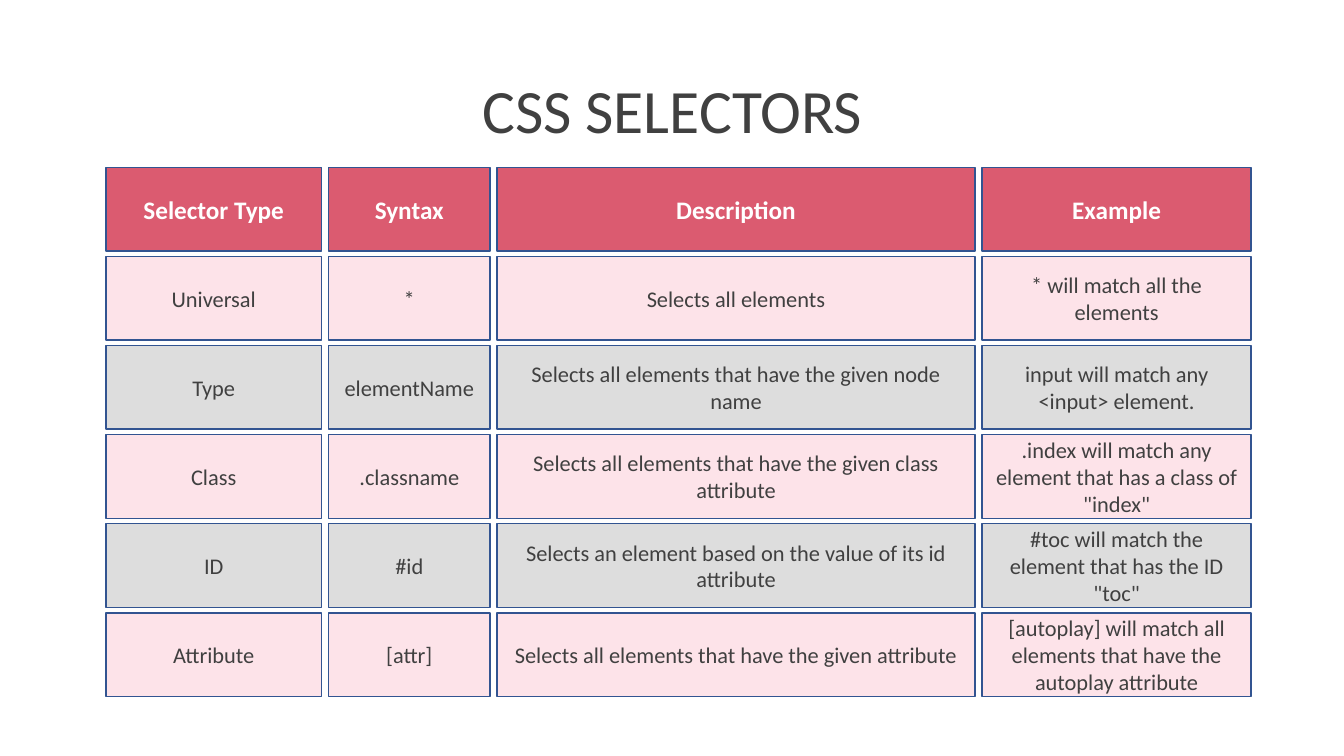
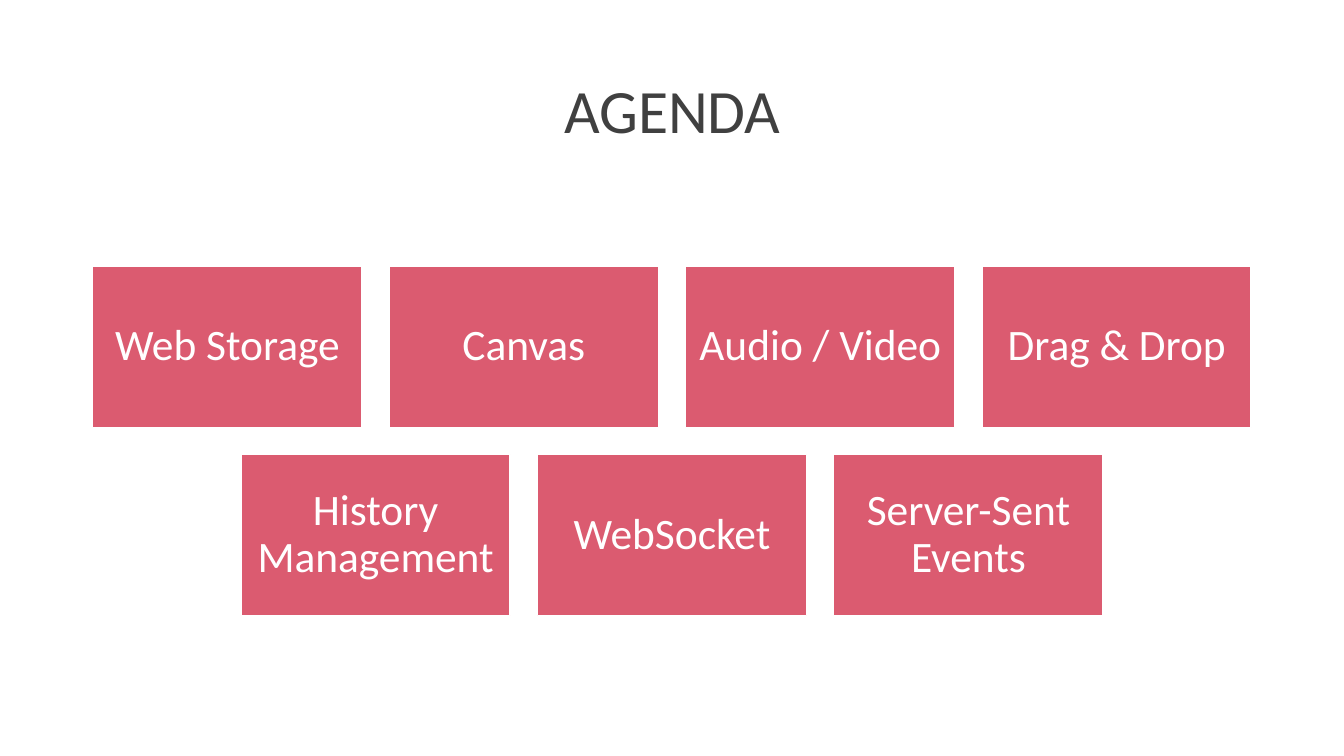
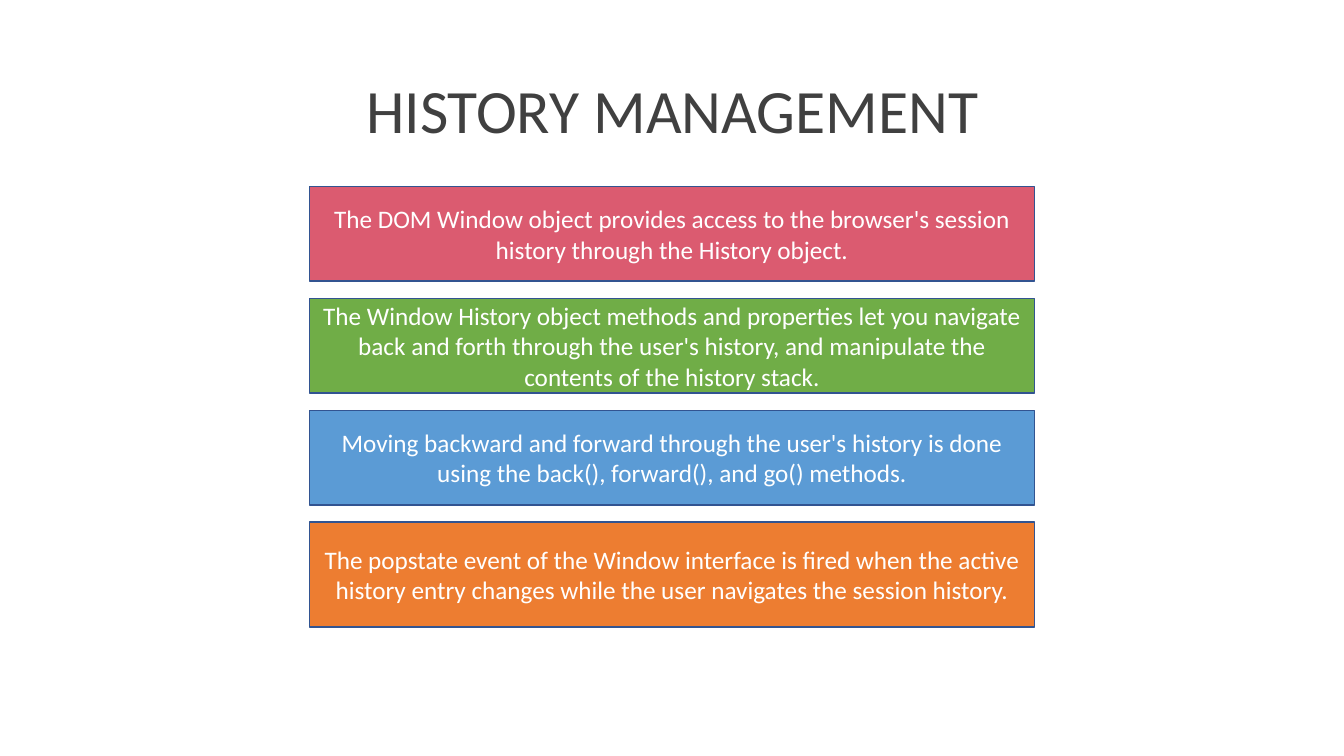
"""Build three slides on CSS selectors, the agenda and history management."""
from dataclasses import dataclass

from pptx import Presentation
from pptx.dml.color import RGBColor
from pptx.enum.shapes import MSO_SHAPE as Preset
from pptx.enum.text import MSO_ANCHOR as Anchor, MSO_AUTO_SIZE as AutoSize, PP_ALIGN as Align
from pptx.presentation import Presentation as Deck
from pptx.slide import Slide
from pptx.util import Inches, Pt

FONT = "Calibri"
WHITE = RGBColor(0xFF, 0xFF, 0xFF)
INK = RGBColor(0x40, 0x40, 0x40)
ROSE = RGBColor(0xDB, 0x5B, 0x70)
BLUSH = RGBColor(0xFD, 0xE3, 0xE9)
GREY = RGBColor(0xDD, 0xDD, 0xDD)
NAVY = RGBColor(0x32, 0x54, 0x91)
GREEN = RGBColor(0x70, 0xAD, 0x47)
BLUE = RGBColor(0x5B, 0x9B, 0xD5)
ORANGE = RGBColor(0xED, 0x7D, 0x31)
SLIDE_WIDTH = 13.33


@dataclass(frozen=True)
class BoxStyle:
    """Look of a filled text box."""
    fill: RGBColor
    color: RGBColor = WHITE
    size: int = 18
    bold: bool = False
    line: RGBColor = NAVY
    margin: float | None = None
    spacing: float = 1.0


@dataclass(frozen=True)
class Statement:
    """One stacked statement with its colour and height."""
    text: str
    fill: RGBColor
    height: float = 0.94


HEADER = BoxStyle(ROSE, bold=True)
ROW_STYLES = (BoxStyle(BLUSH, INK, 16), BoxStyle(GREY, INK, 16))
TILE = BoxStyle(ROSE, size=31, line=WHITE, margin=0.13, spacing=0.9)

COLUMN_WIDTHS = (2.14, 1.6, 4.74, 2.67)
SELECTORS = (
    ("Selector Type", "Syntax", "Description", "Example"),
    ("Universal", "*", "Selects all elements", "* will match all the elements"),
    ("Type", "elementName", "Selects all elements that have the given node name",
     "input will match any <input> element."),
    ("Class", ".classname", "Selects all elements that have the given class attribute",
     '.index will match any element that has a class of "index"'),
    ("ID", "#id", "Selects an element based on the value of its id attribute",
     '#toc will match the element that has the ID "toc"'),
    ("Attribute", "[attr]", "Selects all elements that have the given attribute",
     "[autoplay] will match all elements that have the autoplay attribute"),
)
AGENDA = (
    ("Web Storage", "Canvas", "Audio / Video", "Drag & Drop"),
    ("History Management", "WebSocket", "Server-Sent Events"),
)
STATEMENTS = (
    Statement("The DOM Window object provides access to the browser's session history "
              "through the History object.", ROSE),
    Statement("The Window History object methods and properties let you navigate back and "
              "forth through the user's history, and manipulate the contents of the "
              "history stack.", GREEN),
    Statement("Moving backward and forward through the user's history is done using the "
              "back(), forward(), and go() methods.", BLUE),
    Statement("The popstate event of the Window interface is fired when the active history "
              "entry changes while the user navigates the session history.", ORANGE, 1.04),
)


def add_titled_slide(deck: Deck, heading: str) -> Slide:
    """Add a title-only slide with the shared title style."""
    slide = deck.slides.add_slide(deck.slide_layouts[5])
    title = slide.shapes.title
    title.left, title.top = Inches(0.92), Inches(0.4)
    title.width, title.height = Inches(11.5), Inches(1.45)
    frame = title.text_frame
    frame.text = heading
    frame.auto_size = AutoSize.NONE
    frame.vertical_anchor = Anchor.MIDDLE
    paragraph = frame.paragraphs[0]
    paragraph.alignment = Align.CENTER
    paragraph.line_spacing = 0.9
    paragraph.font.name = FONT
    paragraph.font.size = Pt(44)
    paragraph.font.color.rgb = INK
    return slide


def add_box(slide: Slide, left: float, top: float, width: float, height: float,
            text: str, style: BoxStyle) -> None:
    """Draw a filled rectangle with centred text, measured in inches."""
    box = slide.shapes.add_shape(
        Preset.RECTANGLE, Inches(left), Inches(top), Inches(width), Inches(height))
    box.shadow.inherit = False
    box.fill.solid()
    box.fill.fore_color.rgb = style.fill
    box.line.color.rgb = style.line
    box.line.width = Pt(1)
    frame = box.text_frame
    frame.word_wrap = True
    frame.vertical_anchor = Anchor.MIDDLE
    if style.margin is not None:
        frame.margin_left = frame.margin_right = Inches(style.margin)
        frame.margin_top = frame.margin_bottom = Inches(style.margin)
    frame.text = text
    paragraph = frame.paragraphs[0]
    paragraph.alignment = Align.CENTER
    paragraph.line_spacing = style.spacing
    paragraph.font.name = FONT
    paragraph.font.size = Pt(style.size)
    paragraph.font.bold = style.bold
    paragraph.font.color.rgb = style.color


def build_selectors(deck: Deck) -> None:
    """Draw the selector grid with a header and alternating rows."""
    slide = add_titled_slide(deck, "CSS SELECTORS")
    first_top, last_top, gap = 1.66, 6.08, 0.07
    pitch = (last_top - first_top) / (len(SELECTORS) - 1)
    for index, row in enumerate(SELECTORS):
        style = ROW_STYLES[(index - 1) % 2] if index else HEADER
        left = 1.05
        for text, width in zip(row, COLUMN_WIDTHS):
            add_box(slide, left, first_top + index * pitch, width, 0.83, text, style)
            left += width + gap


def build_agenda(deck: Deck) -> None:
    """Draw the agenda tiles in centred rows."""
    slide = add_titled_slide(deck, "AGENDA")
    width, height, gap = 2.67, 1.6, 0.27
    for row, topics in enumerate(AGENDA):
        row_width = len(topics) * (width + gap) - gap
        left = (SLIDE_WIDTH - row_width) / 2
        top = 2.64 + row * (height + gap)
        for column, topic in enumerate(topics):
            add_box(slide, left + column * (width + gap), top, width, height, topic, TILE)


def build_history(deck: Deck) -> None:
    """Stack the history statements."""
    slide = add_titled_slide(deck, "HISTORY MANAGEMENT")
    top, width, gap = 1.85, 7.19, 0.17
    for statement in STATEMENTS:
        add_box(slide, (SLIDE_WIDTH - width) / 2, top, width, statement.height,
                statement.text, BoxStyle(statement.fill))
        top += statement.height + gap


def main() -> None:
    """Build and save the deck."""
    deck = Presentation()
    deck.slide_width, deck.slide_height = Inches(SLIDE_WIDTH), Inches(7.5)
    build_selectors(deck)
    build_agenda(deck)
    build_history(deck)
    deck.save("out.pptx")


if __name__ == "__main__":
    main()
